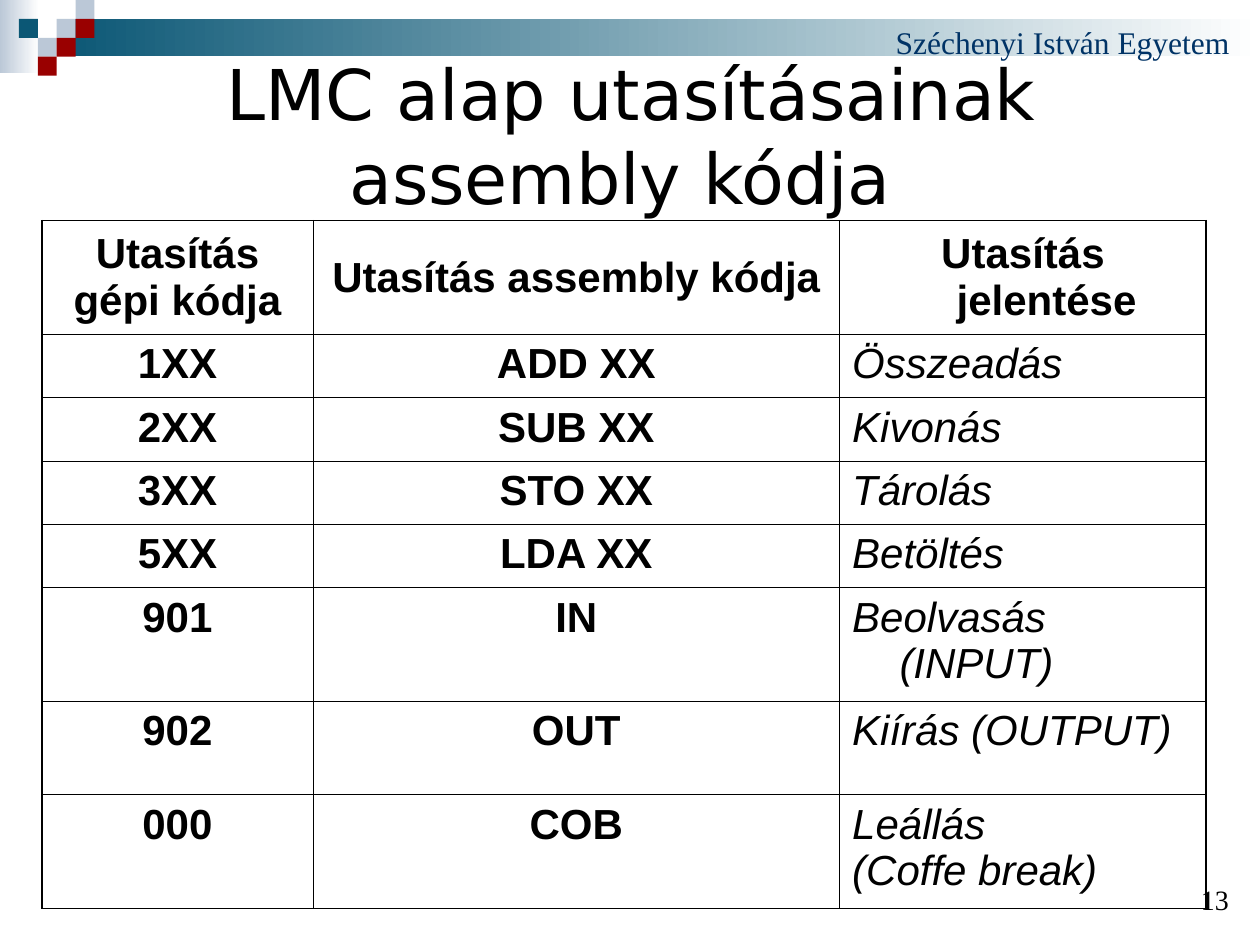
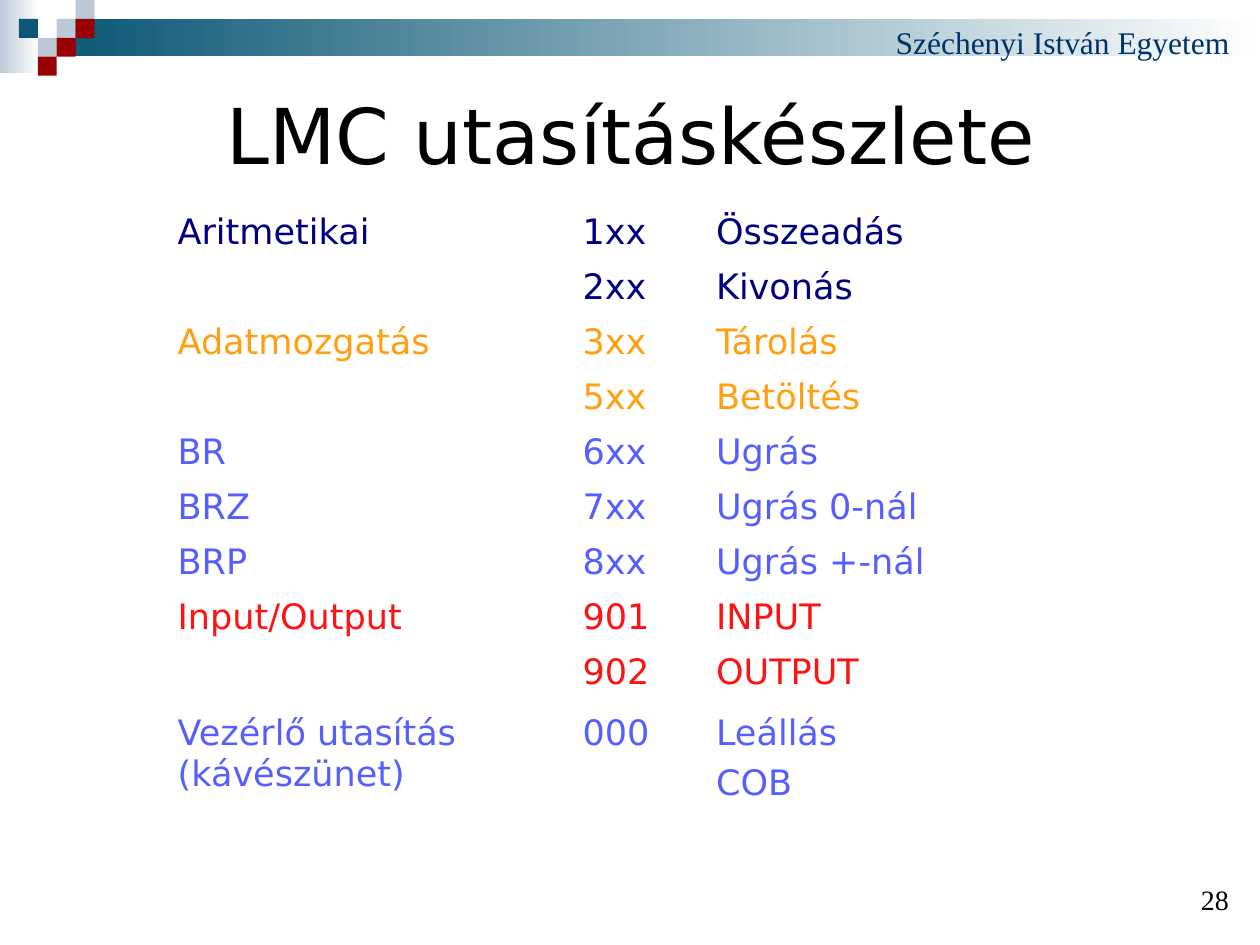
"""Build two slides on the instruction set of the LMC."""
from dataclasses import dataclass, replace

from lxml import etree
from pptx import Presentation
from pptx.dml.color import RGBColor
from pptx.enum.shapes import MSO_SHAPE
from pptx.enum.text import MSO_ANCHOR, PP_ALIGN
from pptx.oxml.ns import qn
from pptx.util import Pt

RECTANGLE = MSO_SHAPE.RECTANGLE
TOP, MIDDLE, BOTTOM = MSO_ANCHOR.TOP, MSO_ANCHOR.MIDDLE, MSO_ANCHOR.BOTTOM
LEFT, CENTER, RIGHT, JUSTIFY = PP_ALIGN.LEFT, PP_ALIGN.CENTER, PP_ALIGN.RIGHT, PP_ALIGN.JUSTIFY

BLACK = RGBColor(0x00, 0x00, 0x00)
WHITE = RGBColor(0xFF, 0xFF, 0xFF)
TEAL = RGBColor(0x0B, 0x57, 0x75)
MIST = RGBColor(0xBB, 0xC8, 0xD7)
CRIMSON = RGBColor(0x99, 0x00, 0x00)
SCHOOL_BLUE = RGBColor(0x00, 0x33, 0x66)
NAVY = RGBColor(0x00, 0x00, 0x80)
ORANGE = RGBColor(0xFF, 0x9F, 0x11)
VIOLET = RGBColor(0x55, 0x5F, 0xFF)
RED = RGBColor(0xFD, 0x13, 0x13)

SQUARE = 10.8
INNER_BORDER, OUTER_BORDER = 0.45, 0.96


@dataclass(frozen=True)
class Box:
    """A place on the slide, in points."""
    left: float
    top: float
    width: float
    height: float

    def lengths(self) -> tuple:
        """Return the four lengths for a shape call."""
        return Pt(self.left), Pt(self.top), Pt(self.width), Pt(self.height)


@dataclass(frozen=True)
class TextStyle:
    """The look of a text and its paragraphs."""
    font: str
    size: float
    color: RGBColor = BLACK
    align: PP_ALIGN = LEFT
    bold: bool = False
    italic: bool = False
    hanging: float = 0
    gap: float = 0


@dataclass(frozen=True)
class Band:
    """A band that fades from a colour to white."""
    box: Box
    color: RGBColor


@dataclass(frozen=True)
class Tile:
    """A square of the corner mosaic."""
    column: int
    row: int
    color: RGBColor


@dataclass(frozen=True)
class Instruction:
    """A row of the instruction set."""
    group: str
    code: str
    meaning: str
    color: RGBColor


BANDS = (
    Band(Box(0, 0, 22.3, 41.8), MIST),
    Band(Box(32.4, 10.8, 687.6, 21.4), TEAL),
)
TILES = (
    Tile(3, 1, MIST), Tile(4, 0, MIST), Tile(4, 1, CRIMSON), Tile(2, 2, MIST),
    Tile(1, 1, TEAL), Tile(3, 2, CRIMSON), Tile(2, 3, CRIMSON),
)

SCHOOL_BOX = Box(504.7, 9.4, 215.3, 28.8)
NUMBER_BOX = Box(626.4, 502.5, 82.8, 24.5)
TITLE_BOX = Box(36.7, 49, 648, 55.4)
SCHOOL_STYLE = TextStyle("Times New Roman", 18, SCHOOL_BLUE)
NUMBER_STYLE = TextStyle("Times New Roman", 16, align=RIGHT)
TITLE_STYLE = TextStyle("DejaVu Sans", 40, align=CENTER)

CODE_STYLE = TextStyle("Arial", 24, align=CENTER, bold=True, hanging=27)
MEANING_STYLE = replace(CODE_STYLE, align=JUSTIFY, bold=False, italic=True)
SET_STYLE = TextStyle("DejaVu Sans", 20, gap=5)

ASSEMBLY_ROWS = (
    ("Utasítás gépi kódja", "Utasítás assembly kódja", "Utasítás jelentése"),
    ("1XX", "ADD XX", "Összeadás"),
    ("2XX", "SUB XX", "Kivonás"),
    ("3XX", "STO XX", "Tárolás"),
    ("5XX", "LDA XX", "Betöltés"),
    ("901", "IN", "Beolvasás (INPUT)"),
    ("902", "OUT", "Kiírás (OUTPUT)"),
    ("000", "COB", "Leállás\n(Coffe break)"),
)
ASSEMBLY_WIDTHS = (154.8, 301, 209.5)
ASSEMBLY_HEIGHTS = (65.1, *[36.2] * 4, 65.1, 53.2, 65.1)

INSTRUCTIONS = (
    Instruction("Aritmetikai", "1xx", "Összeadás", NAVY),
    Instruction("", "2xx", "Kivonás", NAVY),
    Instruction("Adatmozgatás", "3xx", "Tárolás", ORANGE),
    Instruction("", "5xx", "Betöltés", ORANGE),
    Instruction("BR", "6xx", "Ugrás", VIOLET),
    Instruction("BRZ", "7xx", "Ugrás 0-nál", VIOLET),
    Instruction("BRP", "8xx", "Ugrás +-nál", VIOLET),
    Instruction("Input/Output", "901", "INPUT", RED),
    Instruction("", "902", "OUTPUT", RED),
    Instruction("Vezérlő utasítás\v(kávészünet)", "000", "Leállás\nCOB", VIOLET),
)
SET_WIDTHS = (231.4, 76.3, 160.5)
SET_HEIGHTS = (*[31.43] * 8, 35.4, 60.3)


def write(frame, text: str, style: TextStyle) -> None:
    """Set the text of a frame and format its paragraphs."""
    frame.text = text
    for position, paragraph in enumerate(frame.paragraphs):
        paragraph.alignment = style.align
        if position and style.gap:
            paragraph.space_before = Pt(style.gap)
        if style.hanging:
            properties = paragraph._p.get_or_add_pPr()
            properties.set("marL", str(Pt(style.hanging)))
            properties.set("indent", str(-Pt(style.hanging)))
        for run in paragraph.runs:
            run.font.name = style.font
            run.font.size = Pt(style.size)
            run.font.color.rgb = style.color
            run.font.bold = style.bold
            run.font.italic = style.italic


def add_text(slide, box: Box, text: str, style: TextStyle,
             anchor: MSO_ANCHOR = TOP, inset: bool = True) -> None:
    """Add a wrapped text box."""
    frame = slide.shapes.add_textbox(*box.lengths()).text_frame
    frame.word_wrap = True
    frame.vertical_anchor = anchor
    if not inset:
        frame.margin_left = frame.margin_right = frame.margin_top = frame.margin_bottom = 0
    write(frame, text, style)


def add_block(slide, box: Box):
    """Add a rectangle without line or shadow and return its fill."""
    block = slide.shapes.add_shape(RECTANGLE, *box.lengths())
    block.shadow.inherit = False
    block.line.fill.background()
    return block.fill


def add_band(slide, band: Band) -> None:
    """Draw a fading band."""
    fill = add_block(slide, band.box)
    fill.gradient()
    fill.gradient_angle = 0
    for stop, color in zip(fill.gradient_stops, (band.color, WHITE)):
        stop.color.rgb = color


def add_tile(slide, tile: Tile) -> None:
    """Draw a square of the corner mosaic."""
    fill = add_block(slide, Box(tile.column * SQUARE, tile.row * SQUARE, SQUARE, SQUARE))
    fill.solid()
    fill.fore_color.rgb = tile.color


def add_page(deck, title: str, title_size: float, number: int):
    """Add a slide with the shared header, title and number."""
    slide = deck.slides.add_slide(deck.slide_layouts[6])
    for band in BANDS:
        add_band(slide, band)
    for tile in TILES:
        add_tile(slide, tile)
    add_text(slide, SCHOOL_BOX, "Széchenyi István Egyetem", SCHOOL_STYLE)
    add_text(slide, NUMBER_BOX, str(number), NUMBER_STYLE, BOTTOM)
    add_text(slide, TITLE_BOX, title, replace(TITLE_STYLE, size=title_size), MIDDLE, inset=False)
    return slide


def add_grid(slide, left: float, top: float, widths: tuple, heights: tuple):
    """Add a plain table with the given columns and rows."""
    box = Box(left, top, sum(widths), sum(heights))
    table = slide.shapes.add_table(len(heights), len(widths), *box.lengths()).table
    table.first_row = False
    table.horz_banding = False
    for column, width in zip(table.columns, widths):
        column.width = Pt(width)
    for row, height in zip(table.rows, heights):
        row.height = Pt(height)
    return table


def add_border(cell, side: str, width: float) -> None:
    """Draw one black border of a cell."""
    border = etree.SubElement(cell._tc.get_or_add_tcPr(), qn(f"a:ln{side}"), w=str(Pt(width)))
    solid = etree.SubElement(border, qn("a:solidFill"))
    etree.SubElement(solid, qn("a:srgbClr"), val=str(BLACK))


def add_assembly_slide(deck) -> None:
    """Build the table of assembly codes."""
    slide = add_page(deck, "LMC alap utasításainak assembly kódja ", 40, 13)
    table = add_grid(slide, 24, 126, ASSEMBLY_WIDTHS, ASSEMBLY_HEIGHTS)
    last_row, last_column = len(ASSEMBLY_HEIGHTS) - 1, len(ASSEMBLY_WIDTHS) - 1
    for row, texts in enumerate(ASSEMBLY_ROWS):
        for column, text in enumerate(texts):
            cell = table.cell(row, column)
            outer_sides = {"L": column == 0, "R": column == last_column,
                           "T": row == 0, "B": row == last_row}
            for side, outer in outer_sides.items():
                add_border(cell, side, OUTER_BORDER if outer else INNER_BORDER)
            cell.fill.background()
            cell.vertical_anchor = TOP if row else MIDDLE
            style = MEANING_STYLE if row and column == last_column else CODE_STYLE
            if row == column == 0:
                style = replace(style, hanging=0)
            write(cell.text_frame, text, style)


def add_instruction_slide(deck) -> None:
    """Build the coloured list of the instruction set."""
    slide = add_page(deck, "LMC utasításkészlete", 44, 28)
    table = add_grid(slide, 94.3, 117.4, SET_WIDTHS, SET_HEIGHTS)
    for row, entry in enumerate(INSTRUCTIONS):
        style = replace(SET_STYLE, color=entry.color)
        for column, text in enumerate((entry.group, entry.code, entry.meaning)):
            cell = table.cell(row, column)
            cell.fill.background()
            write(cell.text_frame, text, style)


def main() -> None:
    """Build and save the presentation."""
    deck = Presentation()
    deck.slide_width, deck.slide_height = Pt(720), Pt(540)
    add_assembly_slide(deck)
    add_instruction_slide(deck)
    deck.save("out.pptx")


if __name__ == "__main__":
    main()
